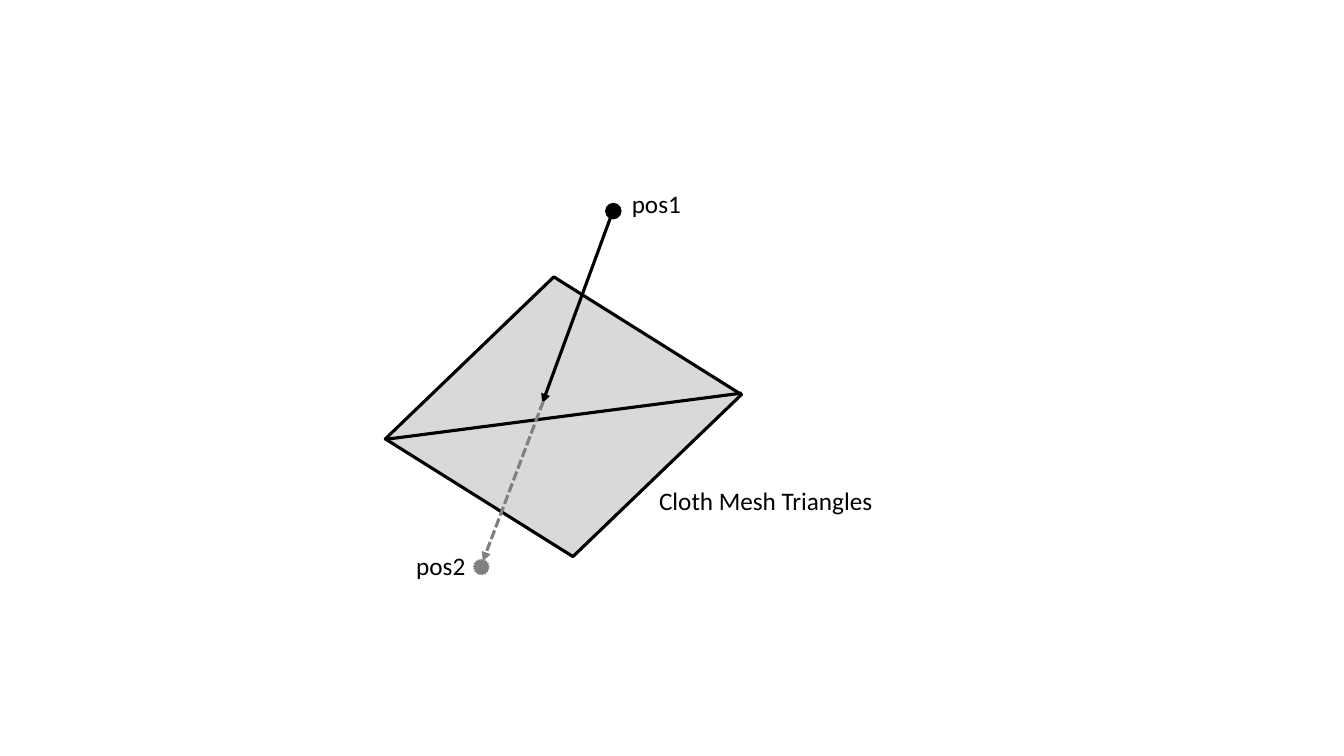
from lxml.etree import SubElement
from pptx import Presentation
from pptx.dml.color import RGBColor
from pptx.enum.dml import MSO_LINE as Dash
from pptx.enum.shapes import MSO_CONNECTOR as Connector, MSO_SHAPE as Shape
from pptx.enum.text import MSO_AUTO_SIZE as AutoSize
from pptx.oxml.ns import qn
from pptx.util import Pt

BLACK, GRAY, CLOTH = "000000", "808080", "D9D9D9"
DOT_SIZE = 10.8
STROKE = 2.25


def color(hex_string):
    return RGBColor.from_string(hex_string)


def style_line(line, line_color, width, dash=None):
    line.color.rgb = color(line_color)
    line.width = Pt(width)
    if dash:
        line.dash_style = dash


def add_shape(slide, kind, left, top, width, height, fill, line_color, line_width, dash=None):
    shape = slide.shapes.add_shape(kind, Pt(left), Pt(top), Pt(width), Pt(height))
    shape.shadow.inherit = False
    shape.fill.solid()
    shape.fill.fore_color.rgb = color(fill)
    style_line(shape.line, line_color, line_width, dash)
    return shape


def add_line(slide, start, end, line_color, dash=None, arrow=False):
    connector = slide.shapes.add_connector(Connector.STRAIGHT, *map(Pt, start + end))
    style_line(connector.line, line_color, STROKE, dash)
    properties = connector._element.spPr
    if arrow:
        SubElement(properties.find(qn("a:ln")), qn("a:tailEnd"), type="triangle")
    SubElement(properties, qn("a:effectLst"))


def add_label(slide, text, left, top, width):
    frame = slide.shapes.add_textbox(Pt(left), Pt(top), Pt(width), Pt(29)).text_frame
    frame.word_wrap = False
    frame.auto_size = AutoSize.SHAPE_TO_FIT_TEXT
    run = frame.paragraphs[0].add_run()
    run.text = text
    run.font.name = "Calibri"
    run.font.size = Pt(18)
    run.font.color.rgb = color(BLACK)


def draw_collision(slide, left, top):
    def at(x, y):
        return left + x, top + y

    # Cloth mesh: a tilted parallelogram split into two triangles
    mesh = add_shape(slide, Shape.PARALLELOGRAM, *at(33.1, 86.7), 198.7, 162,
                     CLOTH, BLACK, STROKE)
    mesh.rotation = 32.1
    add_line(slide, at(5, 183.9), at(259.9, 150.8), BLACK)

    # Start and end positions
    for x, y, dot_color, dash in [(162.7, 15.4, BLACK, None),
                                  (68.4, 269.6, GRAY, Dash.ROUND_DOT)]:
        add_shape(slide, Shape.OVAL, *at(x, y), DOT_SIZE, DOT_SIZE,
                  dot_color, dot_color, 1, dash)

    # Path to the cloth, then the hidden path behind it
    add_line(slide, at(166.3, 24.8), at(117.4, 158), BLACK, arrow=True)
    add_line(slide, at(118.1, 156.6), at(74.9, 271), GRAY, Dash.SQUARE_DOT, arrow=True)

    # Labels
    for text, x, y, width in [("pos1", 174.2, 1, 49.7),
                              ("pos2", 20.2, 259.5, 49.7),
                              ("Cloth Mesh Triangles", 193.7, 213.4, 168.5)]:
        add_label(slide, text, *at(x, y), width)


presentation = Presentation()
presentation.slide_width, presentation.slide_height = Pt(960), Pt(540)
slide = presentation.slides.add_slide(presentation.slide_layouts[6])
draw_collision(slide, 270, 130)
presentation.save("out.pptx")
